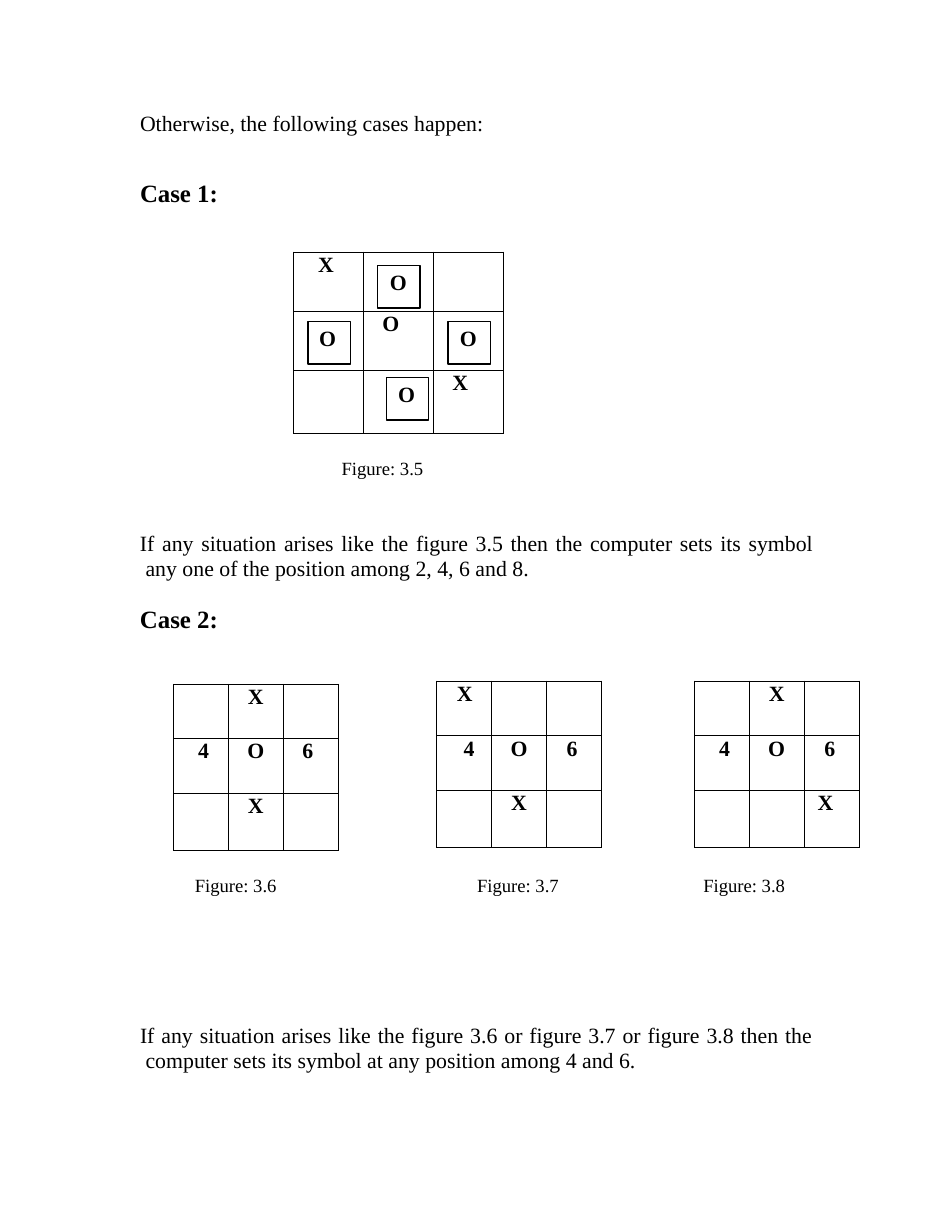
from pptx import Presentation
from pptx.dml.color import RGBColor
from pptx.enum.shapes import MSO_SHAPE as Shape
from pptx.enum.text import PP_ALIGN as Align
from pptx.oxml import parse_xml
from pptx.oxml.ns import nsdecls
from pptx.util import Inches, Pt

COLORS = {"ink": "000000"}
FONT = "Times New Roman"

prs = Presentation()
prs.slide_width, prs.slide_height = Inches(8.5), Inches(11)
COL = prs.slide_width / 8.5
ROW = prs.slide_height / 11
slide = prs.slides.add_slide(prs.slide_layouts[6])


def write(para, text, size=14, bold=False, before=0, line=None,
          align=Align.LEFT, indent=0, first=0):
    para.alignment = align
    para.space_before = Pt(before)
    if line:
        para.line_spacing = Pt(line)
    props = para._p.get_or_add_pPr()
    props.set("marL", str(int(indent * COL)))
    props.set("indent", str(int(first * COL)))
    run = para.add_run()
    run.text = text
    run.font.name, run.font.size, run.font.bold = FONT, Pt(size), bold
    run.font.color.rgb = RGBColor.from_string(COLORS["ink"])


body = dict(line=16.1, align=Align.JUSTIFY, indent=0.06, first=-0.05)
heading = dict(size=16, bold=True, indent=0.01)
caption = dict(size=12, before=1, indent=0.01)

passages = [
    (1.24, 0.97, 3.09, 0.9, 0.01, [
        ("Otherwise, the following cases happen:", dict(before=0.9, indent=0.01)),
        ("Case 1:", dict(heading, before=27)),
    ]),
    (1.24, 4.07, 6.03, 1.6, 0.01, [
        ("Figure: 3.5", dict(caption, indent=1.81)),
        ("If any situation arises like the figure 3.5 then the computer sets "
         "its symbol any one of the position among 2, 4, 6 and 8.",
         dict(body, before=33)),
        ("Case 2:", dict(heading, before=15)),
    ]),
    (1.73, 7.79, 0.8, 0.23, 0.01, [("Figure: 3.6", caption)]),
    (4.25, 7.79, 0.8, 0.23, 0.01, [("Figure: 3.7", caption)]),
    (6.27, 7.79, 0.8, 0.23, 0.01, [("Figure: 3.8", caption)]),
    (1.24, 9.1, 6.02, 0.48, 0.03, [
        ("If any situation arises like the figure 3.6 or figure 3.7 or figure "
         "3.8 then the computer sets its symbol at any position among 4 and 6.",
         dict(body, before=2)),
    ]),
]
for x, y, w, h, top, paragraphs in passages:
    frame = slide.shapes.add_textbox(
        int(x * COL), int(y * ROW), int(w * COL), int(h * ROW)).text_frame
    frame.word_wrap = True
    frame.margin_left = frame.margin_right = frame.margin_bottom = 0
    frame.margin_top = int(top * ROW)
    for i, (text, style) in enumerate(paragraphs):
        write(frame.paragraphs[0] if i == 0 else frame.add_paragraph(), text, **style)

# Each mark: (row, column): (symbol, indent or None when centred, top margin)
boards = [
    (2.62, 2.25, 0.625, [0.53, 0.53, 0.56], {
        (0, 0): ("X", 0.22, 0), (0, 1): ("O", None, 0.17),
        (1, 0): ("O", 0.23, 0.14), (1, 1): ("O", 0.17, 0), (1, 2): ("O", None, 0.14),
        (2, 1): ("O", 0.31, 0.11), (2, 2): ("X", 0.17, 0)}),
    (1.55, 6.11, 0.49, [0.48, 0.49, 0.51], {
        (0, 1): ("X", None, 0), (1, 0): ("4", 0.22, 0), (1, 1): ("O", None, 0),
        (1, 2): ("6", 0.17, 0), (2, 1): ("X", None, 0)}),
    (3.9, 6.08, 0.49, [0.49, 0.49, 0.51], {
        (0, 0): ("X", 0.18, 0), (1, 0): ("4", 0.24, 0), (1, 1): ("O", None, 0),
        (1, 2): ("6", 0.18, 0), (2, 1): ("X", None, 0)}),
    (6.2, 6.08, 0.49, [0.49, 0.49, 0.51], {
        (0, 1): ("X", None, 0), (1, 0): ("4", 0.22, 0), (1, 1): ("O", None, 0),
        (1, 2): ("6", 0.18, 0), (2, 2): ("X", 0.12, 0)}),
]
for x, y, width, heights, marks in boards:
    board = slide.shapes.add_table(3, 3, int(x * COL), int(y * ROW),
                                   int(3 * width * COL), int(sum(heights) * ROW)).table
    board.first_row = board.horz_banding = False
    for r, height in enumerate(heights):
        board.rows[r].height = int(height * ROW)
        board.columns[r].width = int(width * COL)
        for c in range(3):
            cell = board.cell(r, c)
            symbol, indent, top = marks.get((r, c), ("", None, 0))
            cell.margin_left = cell.margin_right = cell.margin_bottom = 0
            cell.margin_top = int(top * ROW)
            if symbol:
                write(cell.text_frame.paragraphs[0], symbol, bold=True,
                      line=None if top else 16, indent=indent or 0,
                      align=Align.CENTER if indent is None else Align.LEFT)
            cell_props = cell._tc.get_or_add_tcPr()
            for side in ("lnL", "lnR", "lnT", "lnB"):
                cell_props.append(parse_xml(
                    f'<a:{side} {nsdecls("a")} w="6350"><a:solidFill>'
                    f'<a:srgbClr val="{COLORS["ink"]}"/></a:solidFill></a:{side}>'))
            cell.fill.background()

SQUARE = 0.38
for x, y in [(3.37, 2.37), (4, 2.87), (2.75, 2.87), (3.45, 3.37)]:
    choice = slide.shapes.add_shape(Shape.RECTANGLE, int(x * COL), int(y * ROW),
                                    int(SQUARE * COL), int(SQUARE * ROW))
    choice.shadow.inherit = False
    choice.fill.background()
    choice.line.color.rgb = RGBColor.from_string(COLORS["ink"])
    choice.line.width = Pt(0.72)

prs.save("out.pptx")
